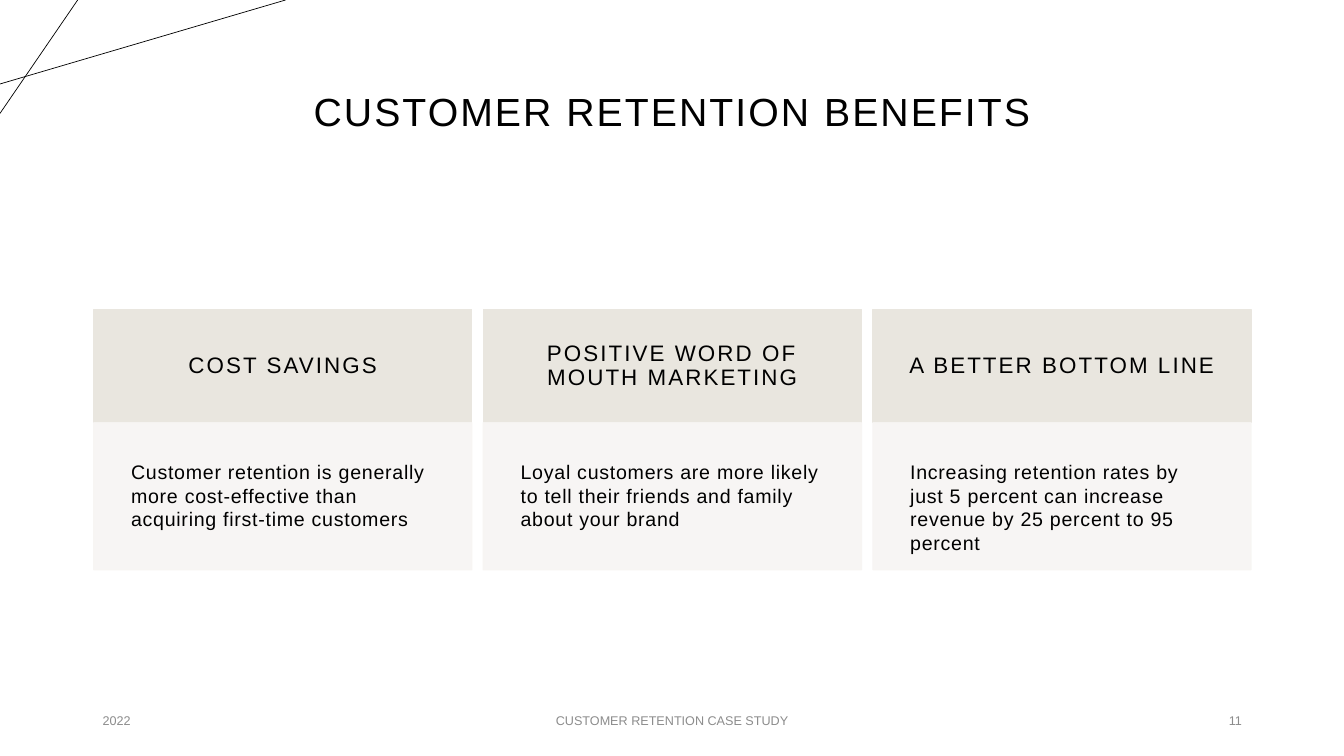
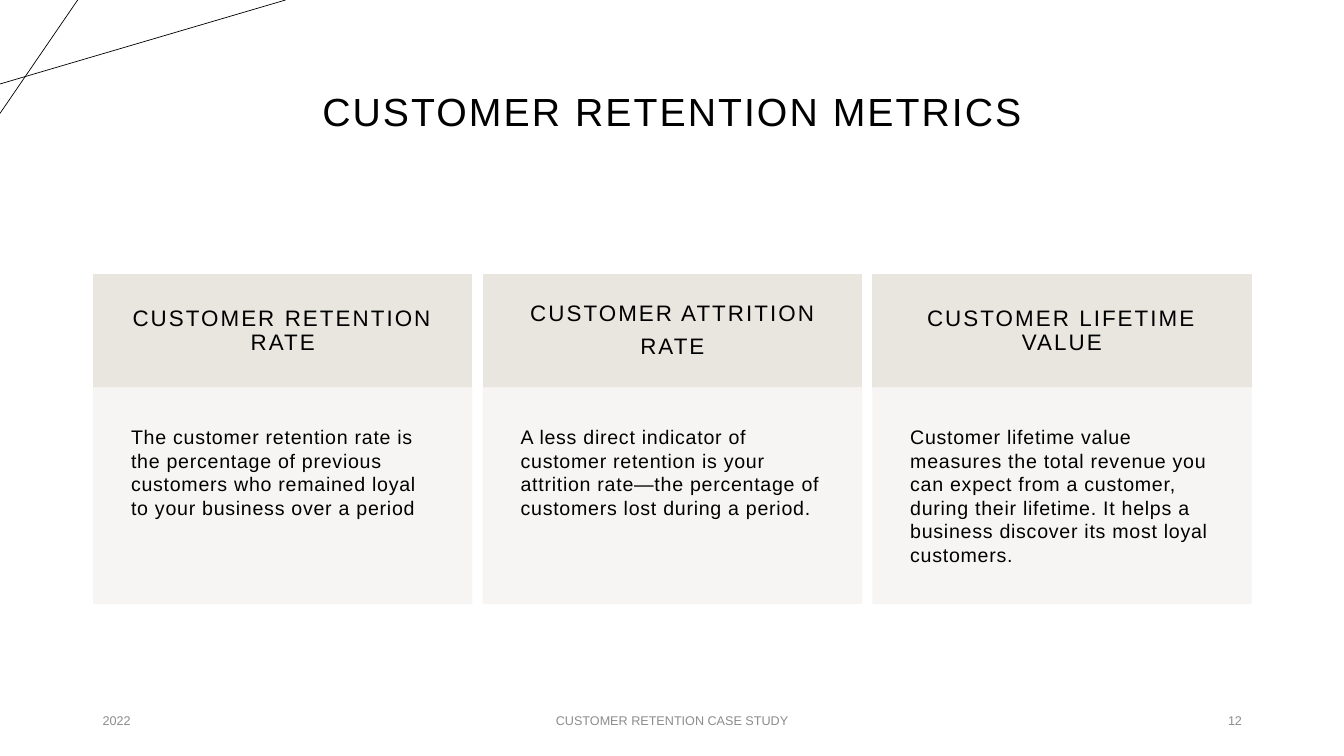
from dataclasses import dataclass

from lxml.etree import SubElement
from pptx import Presentation
from pptx.dml.color import RGBColor
from pptx.enum.shapes import MSO_CONNECTOR as Connector, MSO_SHAPE as Preset
from pptx.enum.text import MSO_ANCHOR as Anchor, PP_ALIGN as Align
from pptx.oxml.ns import qn
from pptx.util import Pt


@dataclass(frozen=True)
class Theme:
    font: str = "Arial"
    ink: str = "000000"
    muted: str = "8C8C8C"
    paper: str = "FFFFFF"
    header_fill: str = "E9E6DF"
    body_fill: str = "F7F5F3"
    body_opacity: int = 90
    title_size: int = 28
    header_size: int = 16
    body_size: int = 14
    footer_size: int = 9
    wide_tracking: float = 1.5
    body_tracking: float = 0.5


class Deck:
    margin = 66.24
    content_width = 828
    card_left = 67
    card_width = 270
    card_pitch = 278.28
    header_height = 81

    def __init__(self, theme):
        self.theme = theme
        self.presentation = Presentation()
        self.presentation.slide_width = Pt(960)
        self.presentation.slide_height = Pt(540)
        self.slide = None

    def add_slide(self, title, number):
        self.slide = self.presentation.slides.add_slide(self.presentation.slide_layouts[6])
        background = self.slide.background.fill
        background.solid()
        background.fore_color.rgb = RGBColor.from_string(self.theme.paper)
        self.line(0, 60, 204, 0)
        self.line(55.5, 0, 0, 81)
        self.title(title)
        self.footer(number)

    def line(self, x1, y1, x2, y2):
        line = self.slide.shapes.add_connector(
            Connector.STRAIGHT, Pt(x1), Pt(y1), Pt(x2), Pt(y2))
        line.line.color.rgb = RGBColor.from_string(self.theme.ink)
        line.line.width = Pt(0.5)
        SubElement(line._element.spPr, qn("a:effectLst"))

    def box(self, left, top, width, height):
        return self.slide.shapes.add_textbox(Pt(left), Pt(top), Pt(width), Pt(height))

    def band(self, left, top, width, height, color, opacity=100):
        shape = self.slide.shapes.add_shape(
            Preset.RECTANGLE, Pt(left), Pt(top), Pt(width), Pt(height))
        shape.shadow.inherit = False
        shape.fill.solid()
        shape.line.width = Pt(1)
        for target in (shape.fill.fore_color, shape.line.color):
            target.rgb = RGBColor.from_string(color)
        if opacity < 100:
            for rgb in shape._element.spPr.iter(qn("a:srgbClr")):
                SubElement(rgb, qn("a:alpha")).set("val", str(opacity * 1000))
        return shape

    def text(self, shape, text, size, color, align=Align.LEFT, anchor=Anchor.MIDDLE,
             tracking=0, inset=None, line_spacing=1.0, space_after=0):
        frame = shape.text_frame
        frame.word_wrap = True
        frame.vertical_anchor = anchor
        if inset is not None:
            frame.margin_left = frame.margin_right = Pt(inset)
            frame.margin_top = frame.margin_bottom = Pt(inset)
        frame.text = text
        for paragraph in frame.paragraphs:
            paragraph.alignment = align
            paragraph.line_spacing = line_spacing
            paragraph.space_after = Pt(space_after)
            font = paragraph.font
            font.name = self.theme.font
            font.size = Pt(size)
            font.color.rgb = RGBColor.from_string(color)
            font._element.set("spc", str(round(tracking * 100)))

    def title(self, text):
        self.text(self.box(self.margin, 28.8, self.content_width, 104.4), text,
                  self.theme.title_size, self.theme.ink, Align.CENTER,
                  tracking=self.theme.wide_tracking, line_spacing=0.9)

    def footer(self, number):
        right = self.margin + self.content_width
        entries = [
            (self.margin, 216, "2022", Align.LEFT),
            (318, 324, "CUSTOMER RETENTION CASE STUDY", Align.CENTER),
            (right - 216, 216, str(number), Align.RIGHT),
        ]
        for left, width, text, align in entries:
            self.text(self.box(left, 500.4, width, 28.8), text,
                      self.theme.footer_size, self.theme.muted, align)

    def cards(self, cards, top, body_height):
        theme = self.theme
        for column, (heading, body) in enumerate(cards):
            left = self.card_left + column * self.card_pitch
            header_band = self.band(left, top, self.card_width, self.header_height,
                                    theme.header_fill)
            self.text(header_band, heading, theme.header_size, theme.ink, Align.CENTER,
                      tracking=theme.wide_tracking, inset=21.6,
                      line_spacing=0.9, space_after=6.3)
            body_band = self.band(left, top + self.header_height, self.card_width,
                                  body_height, theme.body_fill, theme.body_opacity)
            self.text(body_band, body, theme.body_size, theme.ink, anchor=Anchor.TOP,
                      tracking=theme.body_tracking, inset=26.6)


deck = Deck(Theme())

deck.add_slide("CUSTOMER RETENTION BENEFITS", 11)
deck.cards([
    ("COST SAVINGS",
     "Customer retention is generally more cost-effective than acquiring "
     "first-time customers"),
    ("POSITIVE WORD OF MOUTH MARKETING",
     "Loyal customers are more likely to tell their friends and family about your brand"),
    ("A BETTER BOTTOM LINE",
     "Increasing retention rates by just 5 percent can increase revenue by "
     "25 percent to 95 percent"),
], top=221, body_height=105)

deck.add_slide("CUSTOMER RETENTION METRICS", 12)
deck.cards([
    ("CUSTOMER RETENTION RATE",
     "The customer retention rate is the percentage of previous customers who "
     "remained loyal to your business over a period"),
    ("CUSTOMER ATTRITION\nRATE",
     "A less direct indicator of customer retention is your attrition rate—the "
     "percentage of customers lost during a period."),
    ("CUSTOMER LIFETIME VALUE",
     "Customer lifetime value measures the total revenue you can expect from a "
     "customer, during their lifetime. It helps a business discover its most "
     "loyal customers."),
], top=196, body_height=154)

deck.presentation.save("out.pptx")
